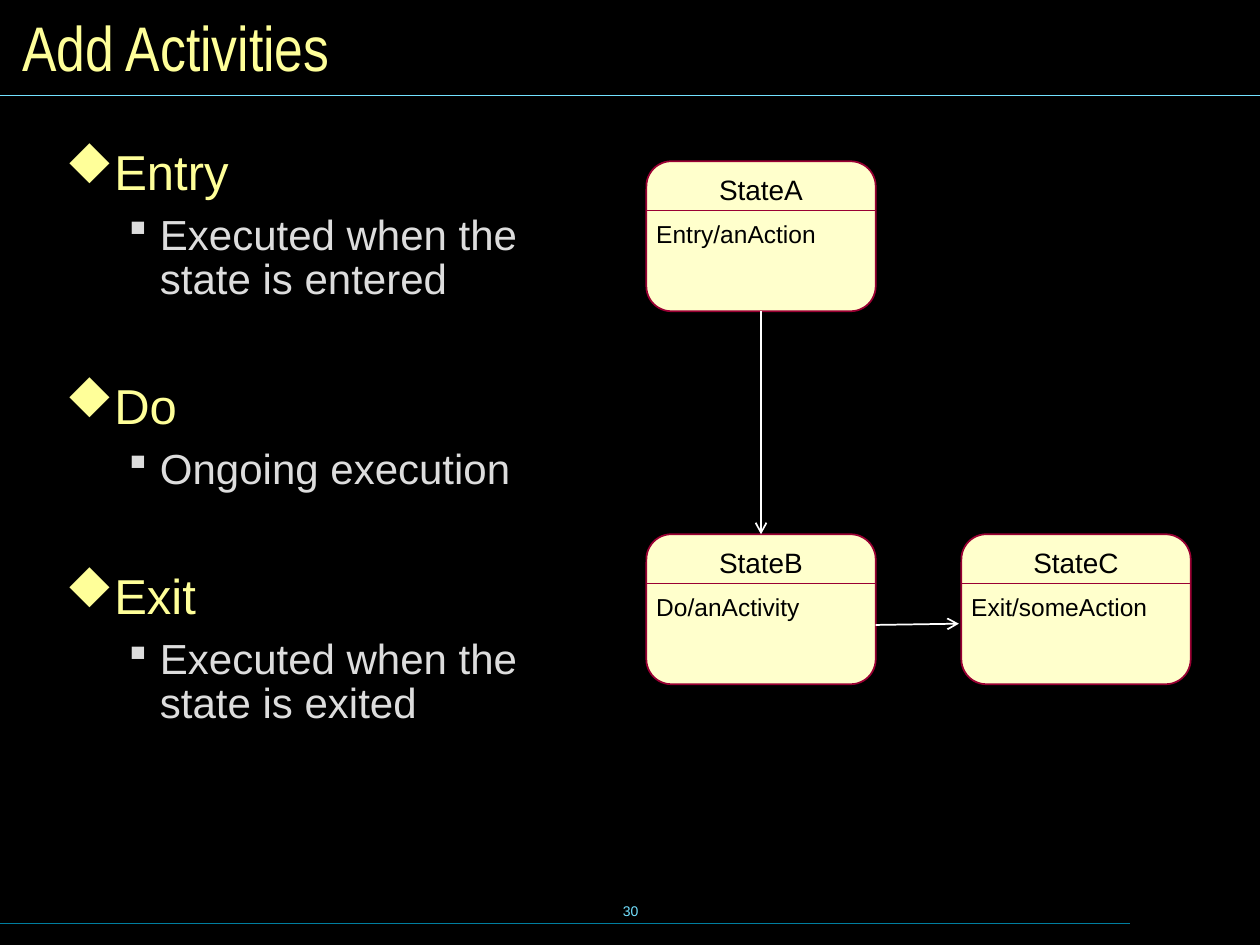
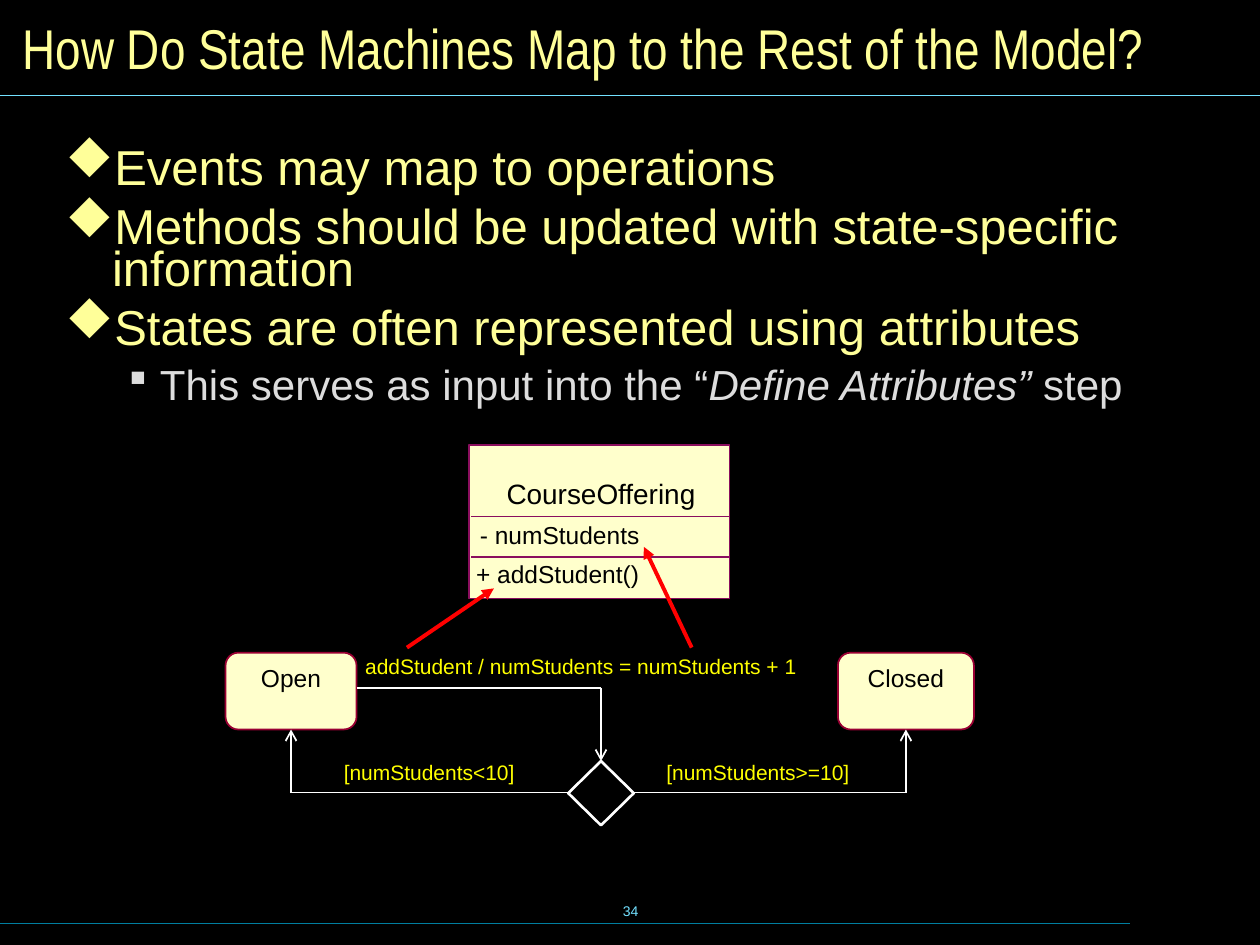
from dataclasses import dataclass
from typing import NamedTuple

from lxml import etree
from pptx import Presentation
from pptx.dml.color import RGBColor
from pptx.enum.shapes import MSO_CONNECTOR, MSO_SHAPE
from pptx.enum.text import MSO_ANCHOR, PP_ALIGN
from pptx.oxml.ns import qn
from pptx.util import Inches, Pt

STRAIGHT = MSO_CONNECTOR.STRAIGHT
ROUNDED, RECTANGLE, DIAMOND = MSO_SHAPE.ROUNDED_RECTANGLE, MSO_SHAPE.RECTANGLE, MSO_SHAPE.DIAMOND
LEFT, CENTER = PP_ALIGN.LEFT, PP_ALIGN.CENTER
TOP, MIDDLE = MSO_ANCHOR.TOP, MSO_ANCHOR.MIDDLE
TOP_SIDE, BOTTOM_SIDE = 0, 2

BLACK, WHITE, RED = "000000", "FFFFFF", "FF0000"
PALE_YELLOW, GRAY, CYAN, TEAL = "FFFF99", "DDDDDD", "73E1FF", "007E9F"
CREAM, CRIMSON, PLUM, LABEL_YELLOW = "FFFFCC", "990033", "8A0E5E", "FFFF00"
BODY_FONT, TITLE_FONT, BULLET_FONT = "Arial", "Arial Narrow", "Wingdings"


class Frame(NamedTuple):
    left: float
    top: float
    width: float
    height: float


class BulletStyle(NamedTuple):
    """A list level; mark is a character code of the symbol font."""
    mark: str
    size: float
    color: str
    margin: float
    hanging: float
    before: float


# In the symbol font "u" is a solid diamond and "§" a small square.
TOPIC = BulletStyle("u", 28, PALE_YELLOW, 0.37, 0.37, 10.5)
DETAIL = BulletStyle("§", 24, GRAY, 0.75, 0.25, 9)


@dataclass
class Bullet:
    style: BulletStyle
    text: str
    emphasis: str = ""
    ending: str = ""
    extra_gap: float = 0


@dataclass
class State:
    name: str
    frame: Frame
    size: float
    name_inset: float
    name_drop: float
    action: str = ""


class Line(NamedTuple):
    start: tuple[float, float]
    end: tuple[float, float]
    color: str = WHITE
    weight: float = 1
    head: str = ""


def rgb(color: str) -> RGBColor:
    return RGBColor.from_string(color)


def inches(frame: Frame) -> list:
    return [Inches(length) for length in frame]


def add_run(paragraph, text: str, *, size: float, color: str,
            font: str = BODY_FONT, italic: bool = False) -> None:
    run = paragraph.add_run()
    run.text = text
    run.font.size = Pt(size)
    run.font.name = font
    run.font.italic = italic
    run.font.color.rgb = rgb(color)


def add_text(slide, text: str, frame: Frame, *, align=LEFT, anchor=TOP, **run_format) -> None:
    text_frame = slide.shapes.add_textbox(*inches(frame)).text_frame
    text_frame.word_wrap = True
    text_frame.vertical_anchor = anchor
    paragraph = text_frame.paragraphs[0]
    paragraph.alignment = align
    add_run(paragraph, text, **run_format)


def set_bullet(paragraph, style: BulletStyle) -> None:
    properties = paragraph._p.get_or_add_pPr()
    properties.set("marL", str(Inches(style.margin)))
    properties.set("indent", str(-Inches(style.hanging)))
    color = etree.SubElement(properties, qn("a:buClr"))
    etree.SubElement(color, qn("a:srgbClr")).set("val", style.color)
    font = etree.SubElement(properties, qn("a:buFont"))
    font.set("typeface", BULLET_FONT)
    font.set("charset", "2")
    etree.SubElement(properties, qn("a:buChar")).set("char", style.mark)


def add_bullets(slide, bullets: list[Bullet], frame: Frame, tightening: float) -> None:
    """Write a bullet list; tightening is taken off each style's line spacing."""
    text_frame = slide.shapes.add_textbox(*inches(frame)).text_frame
    text_frame.word_wrap = True
    text_frame.margin_left = text_frame.margin_right = Inches(0.12)
    text_frame.margin_top = text_frame.margin_bottom = Inches(0.06)
    for index, bullet in enumerate(bullets):
        style = bullet.style
        paragraph = text_frame.add_paragraph() if index else text_frame.paragraphs[0]
        paragraph.line_spacing = (0.8 if style is TOPIC else 0.87) - tightening
        if index:
            paragraph.space_before = Pt(style.before + bullet.extra_gap)
        set_bullet(paragraph, style)
        parts = (bullet.text, False), (bullet.emphasis, True), (bullet.ending, False)
        for text, italic in parts:
            if text:
                add_run(paragraph, text, size=style.size, color=style.color, italic=italic)


def add_box(slide, kind, frame: Frame, line: str, fill: str = "", weight: float = 1):
    box = slide.shapes.add_shape(kind, *inches(frame))
    box.shadow.inherit = False
    if fill:
        box.fill.solid()
        box.fill.fore_color.rgb = rgb(fill)
    else:
        box.fill.background()
    box.line.color.rgb = rgb(line)
    box.line.width = Pt(weight)
    return box


def add_line(slide, line: Line):
    connector = slide.shapes.add_connector(
        STRAIGHT, *(Inches(length) for length in (*line.start, *line.end)))
    connector.line.color.rgb = rgb(line.color)
    connector.line.width = Pt(line.weight)
    if line.head:
        outline = connector.line._get_or_add_ln()
        etree.SubElement(outline, qn("a:tailEnd")).set("type", line.head)
    etree.SubElement(connector._element.spPr, qn("a:effectLst"))
    return connector


def add_state(slide, state: State):
    """Draw a rounded state with its name and, if any, an action compartment."""
    left, top, width, _ = state.frame
    box = add_box(slide, ROUNDED, state.frame, CRIMSON, CREAM)
    name_frame = Frame(left + state.name_inset, top + state.name_drop,
                       width - 2 * state.name_inset, 0.37)
    add_text(slide, state.name, name_frame, align=CENTER, size=state.size, color=BLACK)
    if state.action:
        divider = top + 0.39
        add_line(slide, Line((left, divider), (left + width, divider), CRIMSON))
        add_text(slide, state.action, Frame(left - 0.02, top + 0.41, width, 0.34),
                 size=14, color=BLACK)
    return box


def add_base_slide(deck, title: str, title_size: float, number: str):
    """Add a slide with the shared title, rules and slide number."""
    slide = deck.slides.add_slide(deck.slide_layouts[6])
    add_text(slide, number, Frame(3.42, 6.98, 3.17, 0.5), align=CENTER, anchor=MIDDLE,
             size=8, color=CYAN)
    add_line(slide, Line((0, 7.33), (8.97, 7.33), TEAL, 0.75))
    add_line(slide, Line((0, 0.76), (10, 0.76), CYAN, 0.75))
    add_text(slide, title, Frame(0.08, 0.08, 9.84, 0.58), anchor=MIDDLE,
             size=title_size, color=PALE_YELLOW, font=TITLE_FONT)
    return slide


def build_activities(deck) -> None:
    slide = add_base_slide(deck, "Add Activities", 36, "30")
    group_gap = 37.2
    add_bullets(slide, [
        Bullet(TOPIC, "Entry"),
        Bullet(DETAIL, "Executed when the state is entered"),
        Bullet(TOPIC, "Do", extra_gap=group_gap),
        Bullet(DETAIL, "Ongoing execution"),
        Bullet(TOPIC, "Exit", extra_gap=group_gap),
        Bullet(DETAIL, "Executed when the state is exited"),
    ], Frame(0.4, 1.15, 4.57, 5.52), tightening=0)

    near, far, upper, lower = 5.13, 7.63, 1.28, 4.24
    state_a, state_b, _ = [
        add_state(slide, State(name, Frame(left, top, 1.82, 1.19), 16, 0.23, 0.04, action))
        for name, left, top, action in (
            ("StateA", near, upper, "Entry/anAction"),
            ("StateB", near, lower, "Do/anActivity"),
            ("StateC", far, lower, "Exit/someAction"),
        )
    ]
    a_to_b = add_line(slide, Line((6.04, 2.47), (6.04, 4.24), head="arrow"))
    a_to_b.begin_connect(state_a, BOTTOM_SIDE)
    a_to_b.end_connect(state_b, TOP_SIDE)
    add_line(slide, Line((6.95, 4.96), (7.61, 4.95), head="arrow"))


def add_course_class(slide) -> None:
    left, right = 3.72, 5.79
    add_box(slide, RECTANGLE, Frame(left, 3.53, right - left, 1.22), PLUM, CREAM)
    for divider in (4.1, 4.42):
        add_line(slide, Line((left + 0.02, divider), (right, divider), PLUM))
    add_text(slide, "CourseOffering", Frame(3.63, 3.73, 2.28, 0.37), align=CENTER,
             size=16, color=BLACK)
    for member, frame in (("- numStudents", Frame(3.71, 4.08, 1.48, 0.33)),
                          ("+ addStudent()", Frame(3.68, 4.39, 1.53, 0.33))):
        add_text(slide, member, frame, size=14, color=BLACK)


def build_mapping(deck) -> None:
    slide = add_base_slide(deck, "How Do State Machines Map to the Rest of the Model?", 32, "34")
    add_bullets(slide, [
        Bullet(TOPIC, "Events may map to operations"),
        Bullet(TOPIC, "Methods should be updated with state-specific information"),
        Bullet(TOPIC, "States are often represented using attributes"),
        Bullet(DETAIL, "This serves as input into the “", "Define Attributes”", " step"),
    ], Frame(0.4, 1.15, 9.2, 2.61), tightening=0.1)
    add_course_class(slide)

    open_state, closed_state = [
        add_state(slide, State(name, Frame(left, 5.18, width, 0.61), 14, 0.12, 0.03))
        for name, left, width in (("Open", 1.79, 1.04), ("Closed", 6.65, 1.08))
    ]
    for label, frame in (
        ("addStudent / numStudents = numStudents + 1", Frame(2.8, 5.14, 3.64, 0.3)),
        ("[numStudents<10]", Frame(2.63, 5.98, 1.82, 0.3)),
        ("[numStudents>=10]", Frame(5.19, 5.98, 1.82, 0.3)),
    ):
        add_text(slide, label, frame, size=12, color=LABEL_YELLOW)

    branch_y, event_y, choice_x = 6.29, 5.46, 4.77
    choice = add_box(slide, DIAMOND, Frame(4.51, 6.04, 0.52, 0.51), WHITE, weight=1.5)
    for state, state_x, choice_side in ((open_state, 2.31, 4.51), (closed_state, 7.19, 5.03)):
        add_line(slide, Line((choice_side, branch_y), (state_x, branch_y)))
        guard_arrow = add_line(slide, Line((state_x, branch_y), (state_x, 5.79), head="arrow"))
        guard_arrow.end_connect(state, BOTTOM_SIDE)
    add_line(slide, Line((2.83, event_y), (choice_x, event_y)))
    event_arrow = add_line(slide, Line((choice_x, event_y), (choice_x, 6.04), head="arrow"))
    event_arrow.end_connect(choice, TOP_SIDE)

    for start, end in (((5.49, 5.14), (5.11, 4.34)), ((3.23, 5.14), (3.92, 4.67))):
        add_line(slide, Line(start, end, RED, 2.25, "triangle"))


def main() -> None:
    deck = Presentation()
    deck.slide_width, deck.slide_height = Inches(10), Inches(7.5)
    background = deck.slide_master.background.fill
    background.solid()
    background.fore_color.rgb = rgb(BLACK)
    build_activities(deck)
    build_mapping(deck)
    deck.save("out.pptx")


if __name__ == "__main__":
    main()
